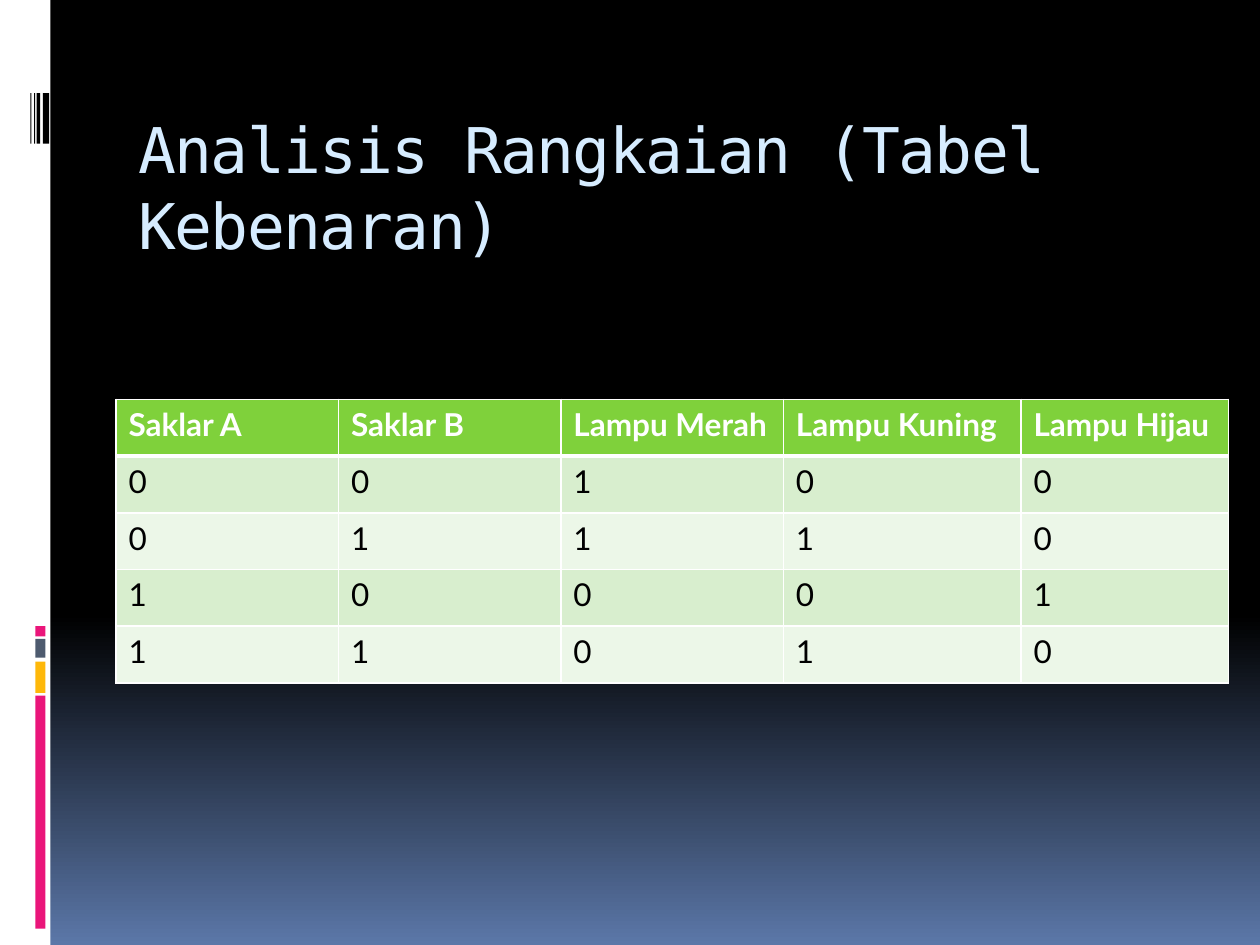
from lxml import etree
from pptx import Presentation, util as u
from pptx.dml.color import RGBColor
from pptx.enum import shapes, text
from pptx.oxml.ns import qn

COLORS = {"white": "FFFFFF", "black": "000000", "pink": "EA157A",
          "amber": "FEB80A", "slate": "4E5B6F", "blue": "5B77A8",
          "title": "D6ECFF", "header": "7FD13B",
          "band_dark": "D8EECE", "band_light": "ECF7E8"}
W, H = 10, 7.5


def rgb(name):
    return RGBColor.from_string(COLORS[name])


def box(x, y, w, h):
    return [u.Inches(v) for v in (x, y, w, h)]


def background(s):
    fill = s.background.fill
    fill.gradient()
    fill.gradient_angle = 270
    for stop, (pos, name) in zip(fill.gradient_stops,
                                 ((0.65, "black"), (1, "blue"))):
        stop.position = pos
        stop.color.rgb = rgb(name)


def bar(s, x, y, w, h, name):
    sp = s.shapes.add_shape(shapes.MSO_SHAPE.RECTANGLE, *box(x, y, w, h))
    sp.shadow.inherit = False
    sp.fill.solid()
    sp.fill.fore_color.rgb = rgb(name)
    sp.line.fill.background()


def side_strip(s, x, y, w, h):
    bar(s, x, y, w, h, "white")
    # Coloured blocks, one column
    for top, height, name in ((5.52, 1.85, "pink"), (5.25, 0.25, "amber"),
                              (5.07, 0.15, "slate"), (4.97, 0.08, "pink")):
        bar(s, x + 0.7 * w, y + top, 0.2 * w, height, name)
    # Black stripes, one row
    for left, width in ((0.34, 0.05), (0.29, 0.03), (0.27, 0.01), (0.24, 0.01)):
        bar(s, x + left, y + 0.74, width, 0.4, "black")


def title(s, x, y, w, h, words):
    sp = s.shapes.title
    sp.left, sp.top, sp.width, sp.height = box(x, y, w, h)
    tf = sp.text_frame
    tf.text = words
    tf.word_wrap = True
    tf.auto_size = text.MSO_AUTO_SIZE.NONE
    tf.vertical_anchor = text.MSO_ANCHOR.TOP
    p = tf.paragraphs[0]
    p.alignment = text.PP_ALIGN.LEFT
    font = p.runs[0].font
    font.name, font.size = "DejaVu Sans Mono", u.Pt(36)
    font.color.rgb = rgb("title")
    p.runs[0]._r.get_or_add_rPr().set("spc", "-100")


def borders(cell, bottom):
    """Borders come before the fill in the cell properties."""
    tc_pr = cell._tc.get_or_add_tcPr()
    for i, (side, points) in enumerate((("L", 1), ("R", 1), ("T", 1), ("B", bottom))):
        ln = etree.Element(qn("a:ln" + side), w=str(u.Pt(points)))
        fill = etree.SubElement(ln, qn("a:solidFill"))
        etree.SubElement(fill, qn("a:srgbClr"), val=COLORS["white"])
        tc_pr.insert(i, ln)


def truth_table(s, x, y, w, h, rows, widths):
    table = s.shapes.add_table(len(rows), len(widths), *box(x, y, w, h)).table
    for col, width in zip(table.columns, widths):
        col.width = u.Inches(w * width / sum(widths))
    for i, row in enumerate(rows):
        table.rows[i].height = u.Inches(h / len(rows))
        head = i == 0
        shade = "header" if head else "band_dark" if i % 2 else "band_light"
        for j, value in enumerate(row):
            cell = table.cell(i, j)
            cell.text = value
            cell.fill.solid()
            cell.fill.fore_color.rgb = rgb(shade)
            borders(cell, 3 if head else 1)
            if i == 1:  # shares its top edge with the header
                cell._tc.tcPr.find(qn("a:lnT")).set("w", str(u.Pt(3)))
            font = cell.text_frame.paragraphs[0].runs[0].font
            font.name, font.size, font.bold = "Lato", u.Pt(18), head
            font.color.rgb = rgb("white" if head else "black")


prs = Presentation()
prs.slide_width, prs.slide_height = u.Inches(W), u.Inches(H)
s = prs.slides.add_slide(prs.slide_layouts[5])
background(s)
side_strip(s, 0, 0, 0.04 * W, H)
title(s, 0.1 * W, 0.83, 0.85 * W, 1, "Analisis Rangkaian (Tabel Kebenaran)")
truth_table(s, 0.92, 3.17, 8.83, 0.3 * H,
            [("Saklar A", "Saklar B", "Lampu Merah", "Lampu Kuning", "Lampu Hijau"),
             "00100", "01110", "10001", "11010"],
            (1.77, 1.77, 1.77, 1.89, 1.65))
prs.save("out.pptx")
